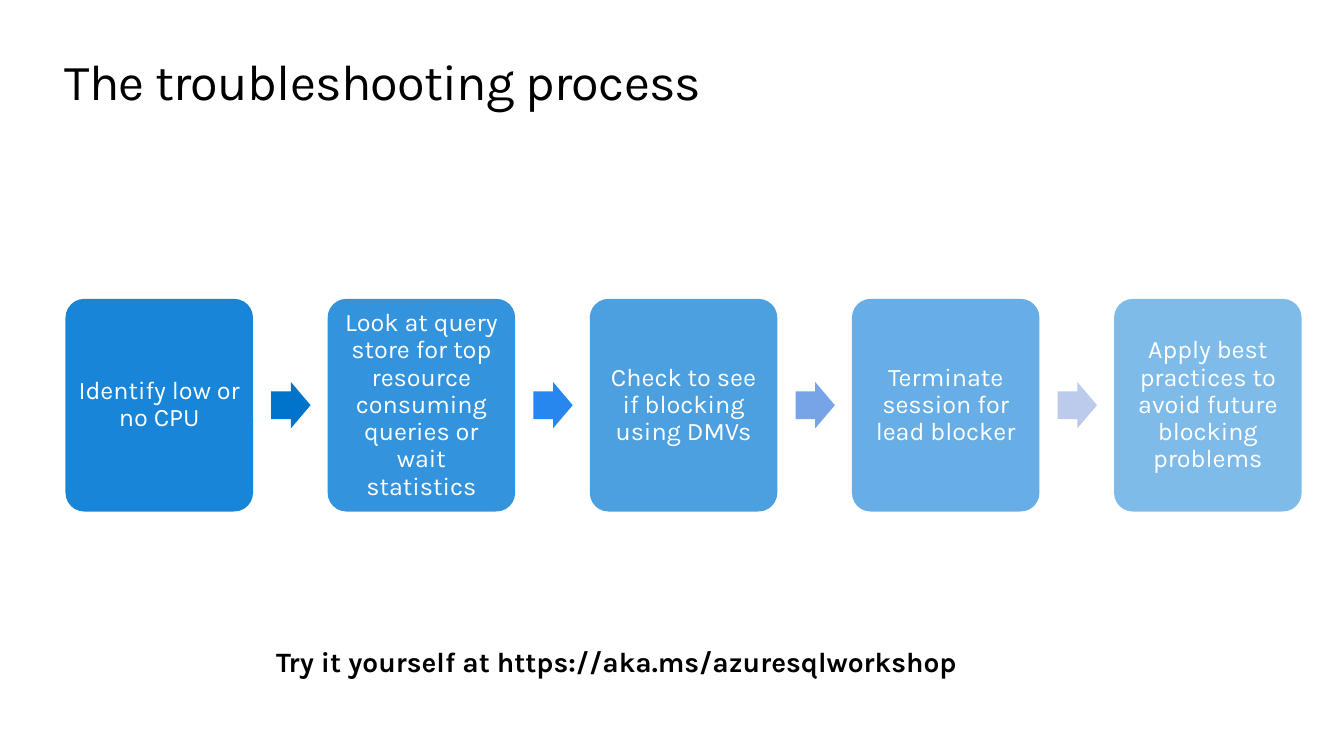
from lxml import etree
from pptx import Presentation
from pptx import util as u
from pptx.dml.color import RGBColor
from pptx.enum import shapes, text
from pptx.oxml.ns import qn

FONT = "Karla"
CARD_COLOR = "0078D4"
WHITE, BLACK = "FFFFFF", "000000"

# Process row, in inches
ROW_LEFT, PITCH, ROW_MIDDLE = 0.65, 2.6, 4.02
CARD_WIDTH, CARD_HEIGHT = 1.86, 2.11
ARROW_OFFSET, ARROW_WIDTH, ARROW_HEIGHT = 2.04, 0.39, 0.46

STEPS = [
    "Identify low or no CPU",
    "Look at query store for top resource consuming queries or wait statistics",
    "Check to see if blocking using DMVs",
    "Terminate session for lead blocker",
    "Apply best practices to avoid future blocking problems",
]
ARROW_COLORS = ["0073CB", "2787ED", "77A4E6", "BCCBEB"]


def apply_format(target, values):
    for name, value in values.items():
        setattr(target, name, value)


def set_color(color_format, color):
    color_format.rgb = RGBColor.from_string(color)


def write_text(shape, words, size, color, inset=0, frame=None, paragraph=None, font=None):
    text_frame = shape.text_frame
    margins = ("margin_left", "margin_top", "margin_right", "margin_bottom")
    apply_format(text_frame, dict.fromkeys(margins, u.Inches(inset)))
    apply_format(text_frame, {"word_wrap": True, **(frame or {})})
    first = text_frame.paragraphs[0]
    apply_format(first, paragraph or {})
    run = first.add_run()
    run.text = words
    apply_format(run.font, {"name": FONT, "size": u.Pt(size), **(font or {})})
    set_color(run.font.color, color)
    return run


def add_block(slide, kind, box, adjustments, color, opacity=100):
    shape = slide.shapes.add_shape(kind, *map(u.Inches, box))
    shape.shadow.inherit = False
    for index, value in enumerate(adjustments):
        shape.adjustments[index] = value
    shape.fill.solid()
    set_color(shape.fill.fore_color, color)
    shape.line.fill.background()
    if opacity < 100:
        fill_color = shape._element.spPr.find(qn("a:solidFill"))[0]
        etree.SubElement(fill_color, qn("a:alpha"), val=str(opacity * 1000))
    return shape


def add_title(slide, words):
    title = slide.shapes.title
    apply_format(title, {"left": u.Inches(0.64), "top": u.Inches(0.5),
                         "width": u.Inches(12.05), "height": u.Inches(0.61)})
    run = write_text(title, words, 36, BLACK,
                     frame={"vertical_anchor": text.MSO_ANCHOR.TOP,
                            "auto_size": text.MSO_AUTO_SIZE.SHAPE_TO_FIT_TEXT},
                     paragraph={"alignment": text.PP_ALIGN.LEFT, "line_spacing": 1.0,
                                "space_before": u.Pt(0)})
    run.font._element.set("spc", "-50")


def add_step(slide, index, words):
    box = (ROW_LEFT + index * PITCH, ROW_MIDDLE - CARD_HEIGHT / 2, CARD_WIDTH, CARD_HEIGHT)
    card = add_block(slide, shapes.MSO_SHAPE.ROUNDED_RECTANGLE, box, [0.1],
                     CARD_COLOR, opacity=90 - 10 * index)
    write_text(card, words, 18, WHITE, inset=0.07,
               frame={"vertical_anchor": text.MSO_ANCHOR.MIDDLE},
               paragraph={"alignment": text.PP_ALIGN.CENTER, "line_spacing": 0.9})


def add_arrow(slide, index, color):
    box = (ROW_LEFT + index * PITCH + ARROW_OFFSET, ROW_MIDDLE - ARROW_HEIGHT / 2,
           ARROW_WIDTH, ARROW_HEIGHT)
    add_block(slide, shapes.MSO_SHAPE.RIGHT_ARROW, box, [0.6, 0.5], color)


def add_invitation(slide, words):
    box = slide.shapes.add_textbox(*map(u.Inches, (2.74, 6.39, 6.83, 0.34)))
    write_text(box, words, 20, BLACK, font={"bold": True},
               frame={"word_wrap": False,
                      "auto_size": text.MSO_AUTO_SIZE.SHAPE_TO_FIT_TEXT})


def main():
    presentation = Presentation()
    presentation.slide_width = u.Inches(13.33)
    presentation.slide_height = u.Inches(7.5)
    slide = presentation.slides.add_slide(presentation.slide_layouts.get_by_name("Title Only"))

    # Heading
    add_title(slide, "The troubleshooting process")

    # Fading cards joined by arrows
    for index, words in enumerate(STEPS):
        add_step(slide, index, words)
    for index, color in enumerate(ARROW_COLORS):
        add_arrow(slide, index, color)

    # Closing line
    add_invitation(slide, "Try it yourself at https://aka.ms/azuresqlworkshop")

    presentation.save("out.pptx")


if __name__ == "__main__":
    main()
